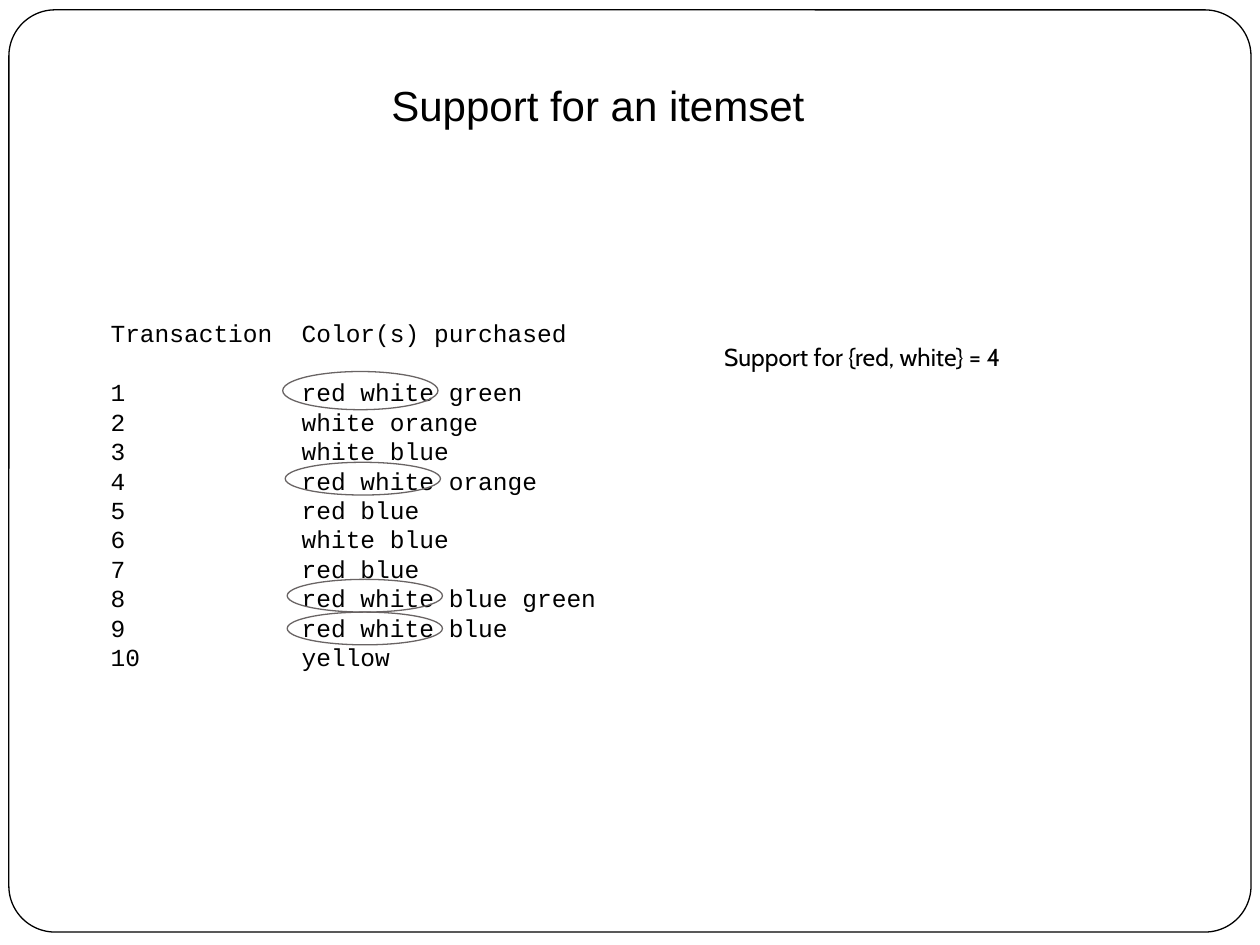
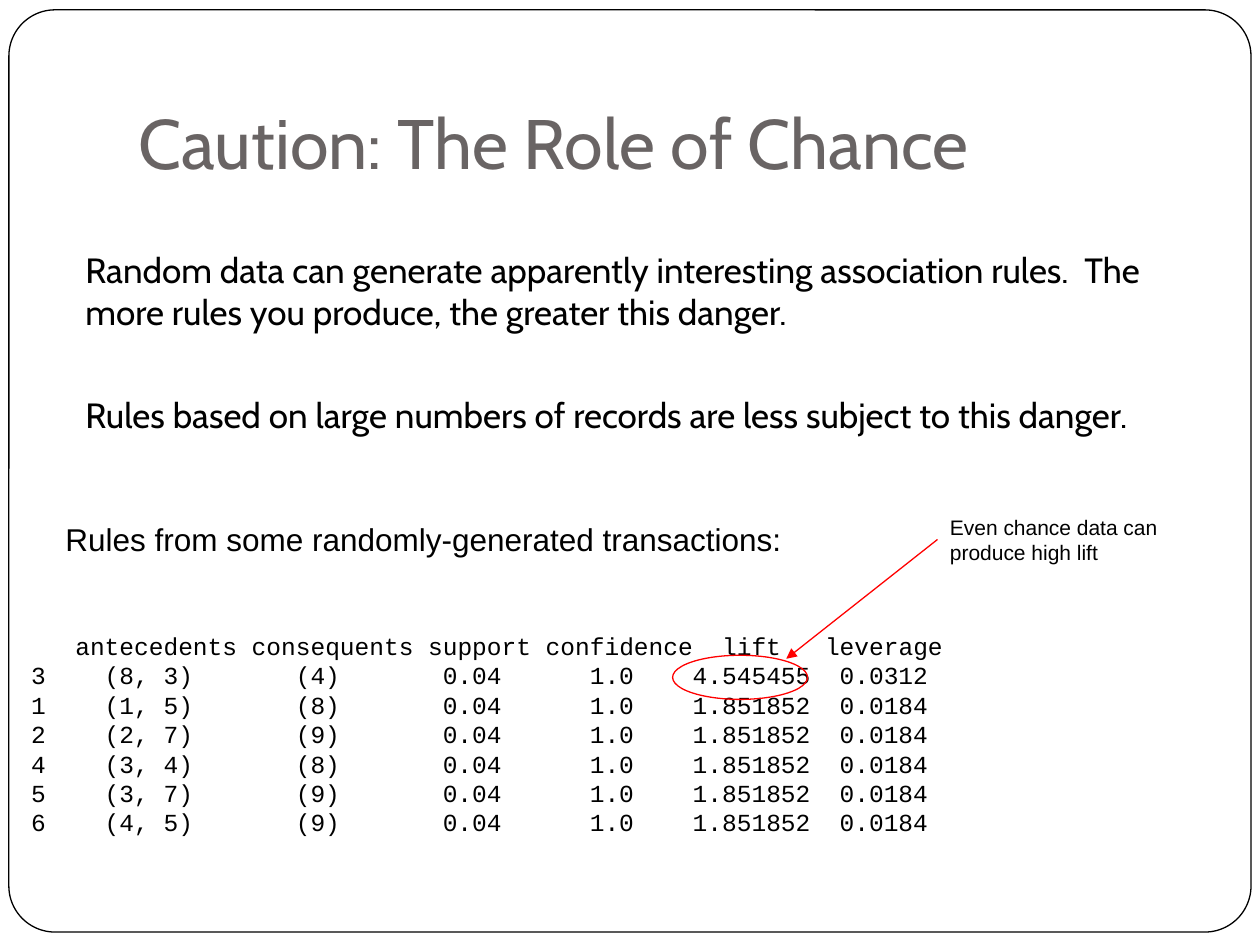
from lxml.etree import SubElement
from pptx import Presentation
from pptx.dml.color import RGBColor
from pptx.enum.shapes import MSO_CONNECTOR, MSO_SHAPE
from pptx.enum.text import MSO_ANCHOR, PP_ALIGN
from pptx.oxml.ns import qn
from pptx.util import Cm, Pt

COLORS = {"text": "000000", "paper": "FFFFFF", "gray": "696464", "alert": "FF0000"}
SANS, BODY, MONO = "Arial", "Cabin", "Courier New"
LINE_PITCH = 1.2
MONO_SIZE = 14
MONO_CHAR = 0.6 * MONO_SIZE  # width of one character in points

PURCHASES = [
    "red white green", "white orange", "white blue", "red white orange",
    "red blue", "white blue", "red blue", "red white blue green",
    "red white blue", "yellow",
]
RULE_HEADER = ["", "antecedents", "consequents", "support", "confidence",
               "lift", "leverage"]
RULES = [
    ("3", "(8, 3)", "(4)", "4.545455", "0.0312"),
    ("1", "(1, 5)", "(8)", "1.851852", "0.0184"),
    ("2", "(2, 7)", "(9)", "1.851852", "0.0184"),
    ("4", "(3, 4)", "(8)", "1.851852", "0.0184"),
    ("5", "(3, 7)", "(9)", "1.851852", "0.0184"),
    ("6", "(4, 5)", "(9)", "1.851852", "0.0184"),
]


def rgb(name):
    return RGBColor.from_string(COLORS[name])


def set_tabs(p, columns):
    """Put left tab stops at the given character columns."""
    tabs = SubElement(p._p.get_or_add_pPr(), qn("a:tabLst"))
    for column in columns:
        SubElement(tabs, qn("a:tab"), pos=str(int(Pt(column * MONO_CHAR))), algn="l")


class Deck:
    def __init__(self):
        self.prs = Presentation()
        self.prs.slide_width, self.prs.slide_height = Cm(25.4), Cm(19.05)
        self.s = None

    def slide(self):
        self.s = self.prs.slides.add_slide(self.prs.slide_layouts[6])
        frame = self.outline(MSO_SHAPE.ROUNDED_RECTANGLE,
                             (0.18, 0.2, 25.04, 18.59), "text", "paper")
        frame.adjustments[0] = 0.05

    def outline(self, kind, box, line, fill=None):
        sp = self.s.shapes.add_shape(kind, *map(Cm, box))
        sp.shadow.inherit = False
        if fill:
            sp.fill.solid()
            sp.fill.fore_color.rgb = rgb(fill)
        else:
            sp.fill.background()
        sp.line.color.rgb = rgb(line)
        sp.line.width = Pt(0.75)
        return sp

    def ring(self, box, line):
        return self.outline(MSO_SHAPE.OVAL, box, line)

    def text(self, box, lines, size, font, color="text", align=PP_ALIGN.LEFT,
             anchor=MSO_ANCHOR.TOP, top=0.13, bottom=0.13):
        sp = self.s.shapes.add_textbox(*map(Cm, box))
        tf = sp.text_frame
        tf.word_wrap = True
        tf.vertical_anchor = anchor
        tf.margin_top, tf.margin_bottom = Cm(top), Cm(bottom)
        tf.text = "\n".join(lines)
        for p in tf.paragraphs:
            p.alignment = align
            p.line_spacing = Pt(size * LINE_PITCH)
            for r in p.runs:
                r.font.size = Pt(size)
                r.font.name = font
                r.font.color.rgb = rgb(color)
        return sp

    def listing(self, box, rows, header_columns, row_columns):
        """Monospaced rows aligned on tab stops, the first row being the header."""
        sp = self.text(box, ["\t".join(row) for row in rows], MONO_SIZE, MONO,
                       top=0.25, bottom=0.25)
        header, *body = sp.text_frame.paragraphs
        set_tabs(header, header_columns)
        for p in body:
            set_tabs(p, row_columns)
        return sp

    def arrow(self, source, site, end, color):
        """Arrow from a connection site of source to a point."""
        x, y = map(Cm, end)
        line = self.s.shapes.add_connector(MSO_CONNECTOR.STRAIGHT, x, y, x, y)
        line.begin_connect(source, site)
        line.line.color.rgb = rgb(color)
        line.line.width = Pt(0.75)
        SubElement(line.line._get_or_add_ln(), qn("a:tailEnd"), type="triangle")
        SubElement(line._element.spPr, qn("a:effectLst"))


def support_slide(deck):
    deck.slide()
    deck.text((4.65, 1.47, 14.81, 1.27), ["Support for an itemset"], 24, SANS,
              align=PP_ALIGN.CENTER)
    rows = [("Transaction", "Color(s) purchased")]
    rows += [(str(n), colors) for n, colors in enumerate(PURCHASES, 1)]
    sp = deck.listing((1.98, 6.17, 11.79, 8.33), rows, [13], [13])
    sp.text_frame.paragraphs[1].space_before = Pt(MONO_SIZE * LINE_PITCH)
    deck.text((14.35, 6.65, 8.15, 7.39), ["Support for {red, white} = 4"], 14, BODY,
              top=0.25, bottom=0.25)
    for left, top, height in [(5.7, 7.49, 0.77), (5.75, 9.32, 0.66),
                              (5.79, 11.68, 0.66), (5.79, 12.34, 0.66)]:
        deck.ring((left, top, 3.13, height), "gray")


def chance_slide(deck):
    deck.slide()
    deck.text((2.54, 0.76, 21.59, 3.18), ["Caution: The Role of Chance"], 40, BODY,
              "gray", anchor=MSO_ANCHOR.BOTTOM, bottom=0.25)
    body = deck.text((1.47, 4.88, 22.66, 4.24), [
        "Random data can generate apparently interesting association rules.  "
        "The more rules you produce, the greater this danger.",
        "Rules based on large numbers of records are less subject to this danger.",
    ], 20, BODY)
    body.text_frame.paragraphs[1].space_before = Pt(35)
    deck.text((1.07, 10.36, 15.24, 1.02),
              ["Rules from some randomly-generated transactions:"], 18, SANS)
    note = deck.text((18.9, 10.24, 6.15, 1.27),
                     ["Even chance data can produce high lift"], 12, SANS)
    rows = [RULE_HEADER]
    rows += [(n, left, right, "0.04", "1.0", lift, leverage)
             for n, left, right, lift, leverage in RULES]
    deck.listing((0.38, 12.47, 24.66, 6.38), rows,
                 [3, 15, 27, 35, 47, 54], [5, 18, 28, 38, 45, 55])
    deck.arrow(note, 1, (15.85, 13.28), "alert")
    deck.ring((13.56, 13.21, 2.72, 0.89), "alert")


def main():
    deck = Deck()
    support_slide(deck)
    chance_slide(deck)
    deck.prs.save("out.pptx")


if __name__ == "__main__":
    main()
